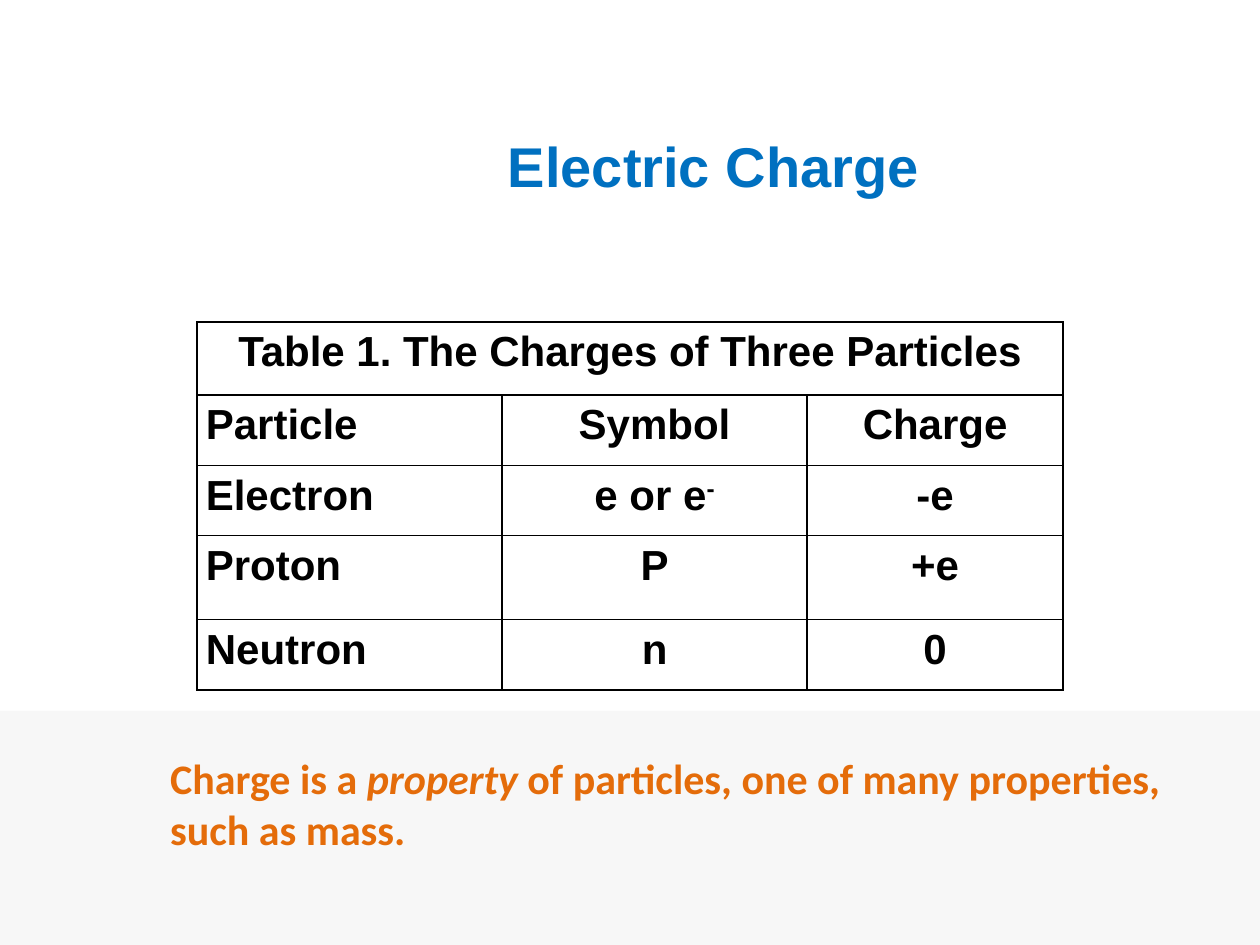
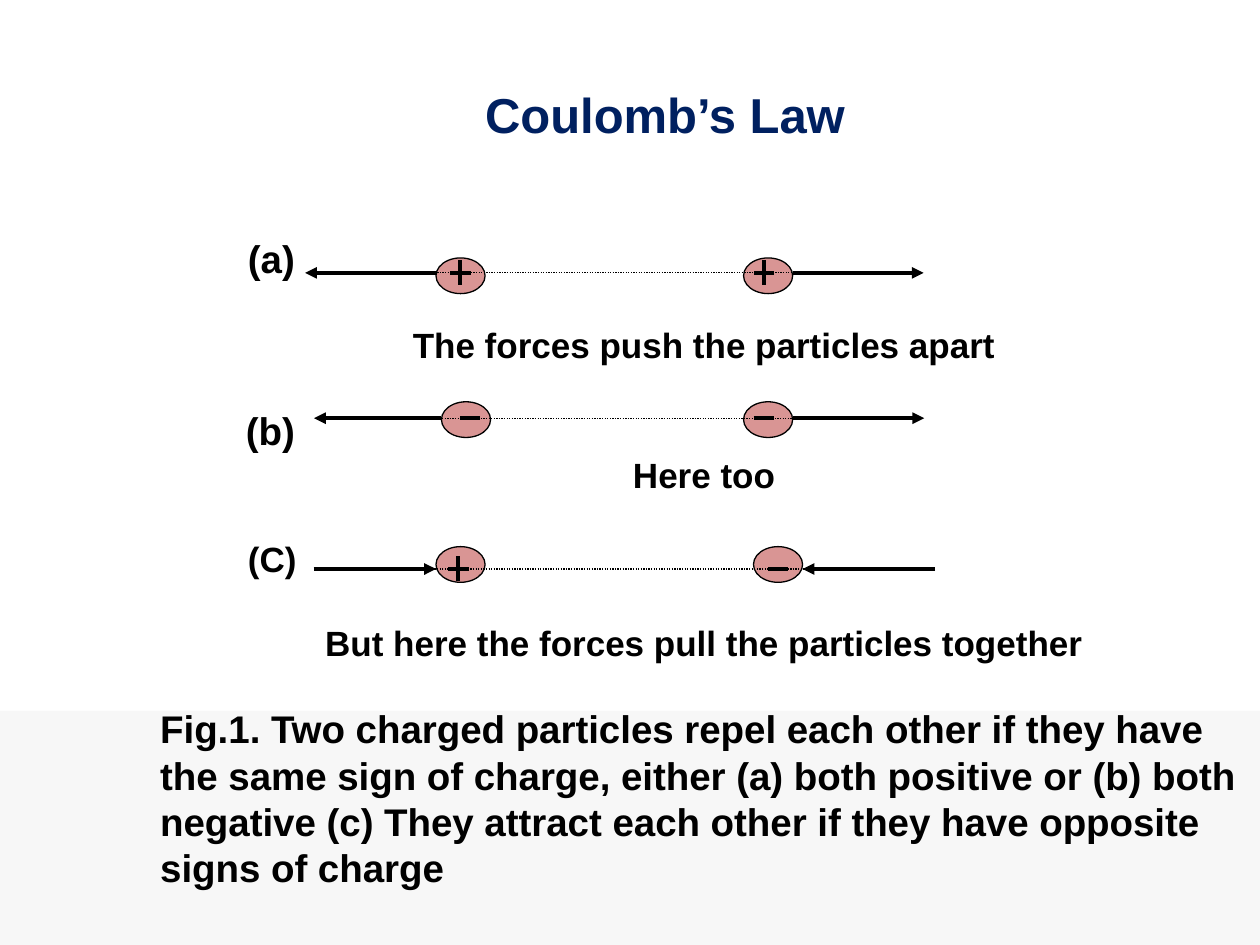
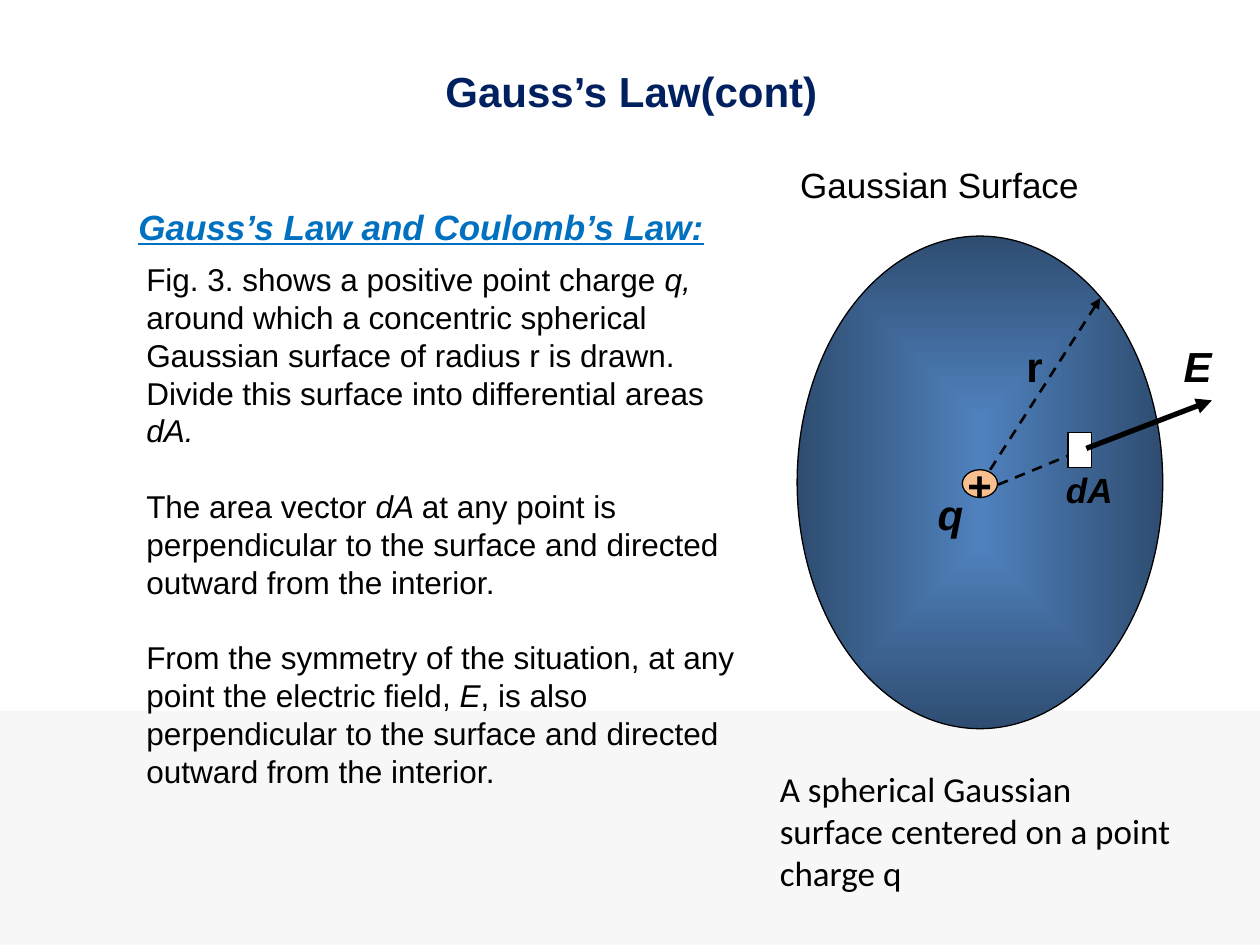
from lxml import etree
from pptx import Presentation
from pptx.dml import color
from pptx.enum import dml, shapes, text
from pptx.oxml import ns, parse_xml
from pptx.util import Cm, Pt

BLACK, WHITE, NAVY, BLUE = "000000", "FFFFFF", "002060", "0070C0"
BAND, ORANGE, ROSE, PEACH = "F7F7F7", "E46C0A", "D99594", "FABF8F"
MID = text.PP_ALIGN.CENTER


def rgb(code):
    """Turn a hex string into a colour."""
    return color.RGBColor.from_string(code)


def style(font, size, code=BLACK, bold=False, ital=None, line=None, name="Arial"):
    """Set every shared property of a font."""
    font.name, font.size = name, Pt(size)
    font.bold, font.italic, font.underline = bold, ital, line
    font.color.rgb = rgb(code)


def write(para, words, size, align=None, before=0, indent=0, **look):
    """Fill a paragraph; parts between asterisks are italic."""
    if align is not None:
        para.alignment = align
    if before:
        para.space_before = Pt(before)
    if indent:
        para._p.get_or_add_pPr().set("marL", str(Cm(indent)))
    for i, part in enumerate(words.split("*")):
        if part:
            run = para.add_run()
            run.text = part
            if i % 2:
                run.font.italic = True
    style(para.font, size, **look)


def label(slide, box, lines, size=24, wrap=True, anchor=None, **look):
    """Add a text box; a line is a string or a pair of string and settings."""
    frame = slide.shapes.add_textbox(*map(Cm, box)).text_frame
    frame.word_wrap = wrap
    frame.auto_size = text.MSO_AUTO_SIZE.SHAPE_TO_FIT_TEXT
    if anchor is not None:
        frame.vertical_anchor = anchor
    for i, item in enumerate([lines] if isinstance(lines, str) else lines):
        para = frame.add_paragraph() if i else frame.paragraphs[0]
        words, extra = (item, {}) if isinstance(item, str) else item
        write(para, words, **{"size": size, **look, **extra})


def shape(slide, kind, box, fill, edge=True):
    """Add a filled preset shape with an optional thin black edge."""
    item = slide.shapes.add_shape(kind, *map(Cm, box))
    item.shadow.inherit = False
    item.fill.solid()
    item.fill.fore_color.rgb = rgb(fill)
    if edge:
        item.line.color.rgb = rgb(BLACK)
        item.line.width = Pt(0.75)
    else:
        item.line.fill.background()
    return item


def oval(slide, box, fill):
    """Add an edged ellipse."""
    return shape(slide, shapes.MSO_SHAPE.OVAL, box, fill)


def stroke(slide, ends, width=2.25, dash=None, tip=False):
    """Add a black line, dashed or with an arrow tip if asked."""
    item = slide.shapes.add_connector(shapes.MSO_CONNECTOR.STRAIGHT, *map(Cm, ends))
    item.line.color.rgb = rgb(BLACK)
    item.line.width = Pt(width)
    if dash:
        item.line.dash_style = dash
    if tip:
        etree.SubElement(item.line._get_or_add_ln(), ns.qn("a:tailEnd"), type="triangle")
    etree.SubElement(item._element.spPr, ns.qn("a:effectLst"))


def shade(item, inner, outer):
    """Give a shape a gradient from its centre to its edge."""
    item.fill.gradient()
    for stop, code, place in zip(item.fill.gradient_stops, (inner, outer), (0, 1)):
        stop.color.rgb = rgb(code)
        stop.position = place
    lin = item._element.spPr.find(".//" + ns.qn("a:lin"))
    lin.getparent().replace(lin, parse_xml(
        f'<a:path {ns.nsdecls("a")} path="shape">'
        '<a:fillToRect l="50000" t="50000" r="50000" b="50000"/></a:path>'))


def border(cell):
    """Draw thin black lines around a table cell."""
    props = cell._tc.get_or_add_tcPr()
    for i, side in enumerate(("lnL", "lnR", "lnT", "lnB")):
        props.insert(i, parse_xml(
            f'<a:{side} {ns.nsdecls("a")} w="12700"><a:solidFill>'
            f'<a:srgbClr val="{BLACK}"/></a:solidFill></a:{side}>'))


def table(slide, spot, cols, rows, data):
    """Add a plain ruled table whose first row is one merged heading."""
    frame = slide.shapes.add_table(len(rows), len(cols), *map(Cm, (*spot, sum(cols), sum(rows))))
    grid = frame.table
    grid.first_row = grid.horz_banding = False
    for col, width in zip(grid.columns, cols):
        col.width = Cm(width)
    for row, height in zip(grid.rows, rows):
        row.height = Cm(height)
    grid.cell(0, 0).merge(grid.cell(0, len(cols) - 1))
    for r, line in enumerate(data):
        for c, cell in enumerate(grid.rows[r].cells):
            cell.fill.background()
            border(cell)
            cell.margin_left = cell.margin_right = Cm(0.18)
            cell.margin_top = cell.margin_bottom = 0
            if c >= len(line):
                continue
            para = cell.text_frame.paragraphs[0]
            para.line_spacing, para.space_after = 1.15, Pt(6)
            base, _, power = line[c].partition("^")
            write(para, base, 24, MID if c or not r else None, bold=True)
            if power:
                run = para.add_run()
                run.text = power
                run._r.get_or_add_rPr().set("baseline", "30000")


def start(deck):
    """Add a blank slide with the grey band at its foot."""
    slide = deck.slides.add_slide(deck.slide_layouts[6])
    shape(slide, shapes.MSO_SHAPE.RECTANGLE, (0, 14.33, 25.4, 4.72), BAND, False)
    return slide


def sign(slide, mark, x, y):
    """Draw a plus or a minus."""
    stroke(slide, (x, y, x + 0.41, y))
    if mark == "+":
        stroke(slide, (x + 0.2, y - 0.26, x + 0.2, y + 0.25))


def force(slide, near, far, y, pull):
    """Draw a force arrow on a particle, towards it if it pulls."""
    a, b = (far, near) if pull else (near, far)
    stroke(slide, (a, y, b, y), tip=True)


def pair(slide, y, top, lefts, marks, spots, fars, dots, pull=False):
    """Draw two particles, their forces, the line between them and their signs."""
    for left in lefts:
        oval(slide, (left, top, 0.99, 0.72), ROSE)
    force(slide, lefts[0], fars[0], y, pull)
    force(slide, lefts[1] + 0.99, fars[1], y, pull)
    stroke(slide, (dots[0], y, dots[1], y), 0.75, dml.MSO_LINE.ROUND_DOT)
    for mark, x in zip(marks, spots):
        sign(slide, mark, x, y)


def charge(deck):
    """Build the slide on electric charge."""
    slide = start(deck)
    label(slide, (3.18, 15.05, 21.46, 2.31),
          "Charge is a *property* of particles, one of many properties, such as mass.",
          code=ORANGE, bold=True, name="Calibri")
    label(slide, (9.99, 2.53, 10.34, 1.63), "Electric Charge", 32, code=BLUE, bold=True)
    table(slide, (3.97, 6.49), (6.15, 6.15, 5.16), (1.47, 1.42, 1.42, 1.69, 1.42), [
        ["Table 1. The Charges of Three Particles"],
        ["Particle", "Symbol", "Charge"],
        ["Electron", "e or e^-", "-e"],
        ["Proton", "P", "+e"],
        ["Neutron", "n", "0"]])


def coulomb(deck):
    """Build the slide on forces between charges."""
    slide = start(deck)
    pair(slide, 5.5, 5.2, (8.79, 14.99), "++", (9.08, 15.2), (6.15, 18.62), (6.32, 18.06))
    pair(slide, 8.43, 8.1, (8.9, 14.99), "--", (9.27, 15.19), (6.33, 18.63), (7.04, 18.36))
    pair(slide, 11.47, 11.02, (8.79, 15.19), "+-", (9.04, 15.48), (6.32, 18.85),
         (7.04, 18.64), True)
    gap = {"before": 24}
    label(slide, (2.98, 4.61, 22.43, 13.59), [
        ("(a)", {"size": 22, "indent": 1.77}),
        ("The forces push the particles apart", {"align": MID, **gap}),
        ("(b)", {"size": 22, "indent": 1.73, **gap}),
        ("Here too", {"align": MID}),
        ("(C)", {"indent": 1.77, **gap}),
        ("But here the forces pull the particles together", {"align": MID, **gap}),
        ("Fig.1. Two charged particles repel each other if they have the same sign of "
         "charge, either (a) both positive or (b) both negative (c) They attract each "
         "other if they have opposite signs of charge", {"size": 22, **gap}),
    ], 20, bold=True)
    label(slide, (9.53, 1.57, 7.85, 1.45), "Coulomb’s Law", 28, False, code=NAVY, bold=True)


def gauss(deck):
    """Build the slide on the Gaussian surface."""
    slide = start(deck)
    label(slide, (2.54, 4.01, 14.88, 1.12), "Gauss’s Law and Coulomb’s Law:", 20,
          code=BLUE, bold=True, ital=True, line=True)
    gap = {"before": 21.6}
    label(slide, (2.7, 5.12, 12.57, 11.02), [
        "Fig. 3. shows a positive point charge *q, *around which a concentric spherical "
        "Gaussian surface of radius r is drawn. Divide this surface into differential "
        "areas *dA.*",
        ("The area vector *dA *at any point is perpendicular to the surface and directed "
         "outward from the interior.", gap),
        ("From the symmetry of the situation, at any point the electric field, *E*, is also "
         "perpendicular to the surface and directed outward from the interior.", gap),
    ], 18)
    shade(oval(slide, (16.07, 4.76, 7.37, 9.93), BLUE), "4F81BD", "2F4D71")
    oval(slide, (19.4, 9.47, 0.71, 0.56), PEACH)
    stroke(slide, (20.12, 9.77, 21.89, 9.04), 1.5, dml.MSO_LINE.DASH)
    shape(slide, shapes.MSO_SHAPE.RECTANGLE, (21.53, 8.72, 0.48, 0.71), WHITE)
    stroke(slide, (21.9, 9.04, 24.43, 8.07), 3, tip=True)
    stroke(slide, (19.96, 9.47, 22.18, 6.01), 1.5, dml.MSO_LINE.DASH, True)
    label(slide, (18.65, 9.73, 0.79, 1.3), "q", bold=True, ital=True)
    label(slide, (19.25, 9.13, 1.02, 1.3), "+", wrap=False, bold=True)
    label(slide, (15.88, 3.18, 6.55, 1.12), "Gaussian Surface", 20)
    label(slide, (23.61, 6.74, 1.09, 1.3), "E", wrap=False, bold=True, ital=True)
    label(slide, (20.44, 6.74, 0.84, 1.3), "r", wrap=False, bold=True)
    label(slide, (15.47, 15.34, 9.93, 2.82),
          ["A spherical Gaussian", "surface centered on a point charge q"], 20,
          anchor=text.MSO_ANCHOR.MIDDLE, name="Calibri")
    label(slide, (21.24, 9.32, 1.47, 1.12), "dA", 20, False, bold=True, ital=True)
    label(slide, (8.73, 1.19, 8.08, 1.27), "Gauss’s Law(cont)", 24, False, code=NAVY, bold=True)


def main():
    """Build and save the deck."""
    deck = Presentation()
    deck.slide_width, deck.slide_height = Cm(25.4), Cm(19.05)
    for build in (charge, coulomb, gauss):
        build(deck)
    deck.save("out.pptx")


if __name__ == "__main__":
    main()
